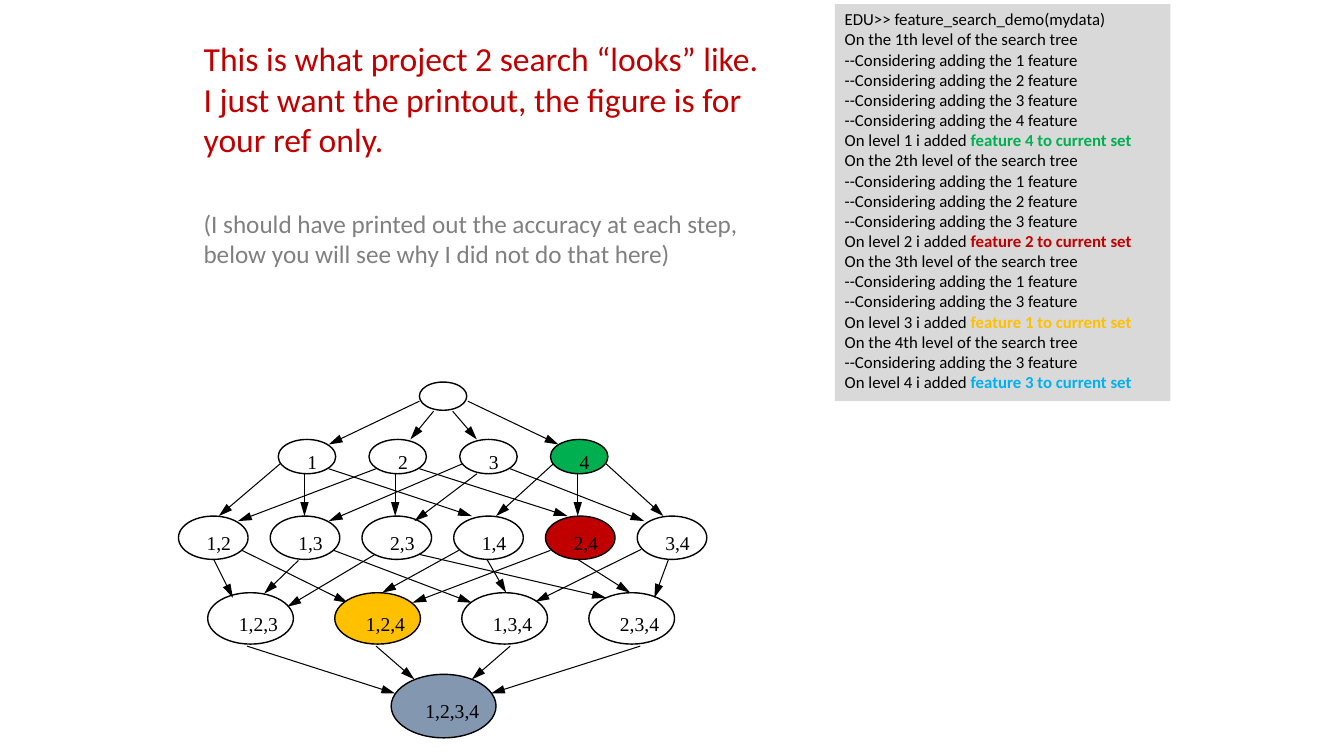
from dataclasses import dataclass

from lxml import etree
from pptx import Presentation
from pptx.dml.color import RGBColor
from pptx.enum.shapes import MSO_CONNECTOR, MSO_SHAPE
from pptx.enum.text import MSO_ANCHOR, MSO_AUTO_SIZE, PP_ALIGN
from pptx.oxml.ns import qn
from pptx.util import Inches, Pt

ELLIPSE, RECTANGLE = MSO_SHAPE.OVAL, MSO_SHAPE.RECTANGLE
STRAIGHT = MSO_CONNECTOR.STRAIGHT
TOP, LEFT = MSO_ANCHOR.TOP, PP_ALIGN.LEFT
GROW, FIXED = MSO_AUTO_SIZE.SHAPE_TO_FIT_TEXT, MSO_AUTO_SIZE.NONE

COLORS = {
    "black": "000000", "panel": "D9D9D9", "gray": "808080",
    "green": "00B050", "red": "C00000", "gold": "FFC000",
    "blue": "00B0F0", "slate": "8497B0",
}
BODY_FONT, TREE_FONT = "Calibri", "Times New Roman"
WRAPPED = {"word_wrap": True, "auto_size": FIXED, "vertical_anchor": TOP}
LABEL = {"word_wrap": False, "auto_size": GROW, "vertical_anchor": TOP}


@dataclass
class Run:
    text: str
    size: float
    color: str = "black"
    bold: bool = False
    font: str = BODY_FONT


@dataclass
class Level:
    """One row of equal ellipses, with the label offset inside each."""
    labels: tuple[str, ...]
    left: float
    top: float
    width: float
    height: float
    pitch: float = 0
    label_dx: float = 0
    label_dy: float = 0
    label_width: float = 0


@dataclass
class Arrow:
    x1: float
    y1: float
    x2: float
    y2: float


LEVELS = [
    Level(("",), 4.16, 3.79, 0.47, 0.28),
    Level(("1", "2", "3", "4"), 2.76, 4.36, 0.57, 0.34, 0.9, 0.19, 0.05, 0.3),
    Level(("1,2", "1,3", "2,3", "1,4", "2,4", "3,4"),
          1.77, 5.12, 0.69, 0.43, 0.91, 0.18, 0.1, 0.45),
    Level(("1,2,3", "1,2,4", "1,3,4", "2,3,4"),
          2.06, 5.88, 0.85, 0.51, 1.26, 0.21, 0.14, 0.59),
    Level(("1,2,3,4",), 3.88, 6.69, 1.04, 0.63, 0, 0.24, 0.19, 0.74),
]
CHOSEN = {"4": "green", "2,4": "red", "1,2,4": "gold", "1,2,3,4": "slate"}

ARROWS = [
    # Root to single features
    Arrow(4.16, 3.98, 3.26, 4.41), Arrow(4.3, 4.08, 4.07, 4.36),
    Arrow(4.49, 4.08, 4.73, 4.36), Arrow(4.64, 3.98, 5.54, 4.41),
    # Single features to pairs
    Arrow(2.78, 4.6, 2.17, 5.12), Arrow(3.02, 4.7, 3.02, 5.12),
    Arrow(3.26, 4.65, 4.68, 5.12), Arrow(3.73, 4.65, 2.36, 5.17),
    Arrow(3.92, 4.7, 3.92, 5.12), Arrow(4.16, 4.65, 5.63, 5.12),
    Arrow(4.59, 4.6, 3.26, 5.17), Arrow(4.73, 4.7, 4.11, 5.17),
    Arrow(5.06, 4.65, 6.39, 5.17), Arrow(5.49, 4.6, 4.92, 5.12),
    Arrow(5.73, 4.7, 5.73, 5.12), Arrow(6.01, 4.6, 6.58, 5.12),
    # Pairs to triples
    Arrow(2.12, 5.55, 2.31, 5.93), Arrow(2.4, 5.46, 3.45, 5.98),
    Arrow(2.96, 5.56, 2.62, 5.89), Arrow(3.31, 5.46, 4.68, 5.98),
    Arrow(3.72, 5.5, 2.85, 6.02), Arrow(4.16, 5.5, 6.01, 5.93),
    Arrow(4.55, 5.46, 3.79, 5.88), Arrow(4.83, 5.55, 5.02, 5.88),
    Arrow(5.46, 5.46, 4.09, 5.98), Arrow(5.73, 5.55, 6.25, 5.88),
    Arrow(6.36, 5.45, 5.31, 5.97), Arrow(6.63, 5.55, 6.49, 5.93),
    # Triples to the full set
    Arrow(2.45, 6.41, 3.92, 6.88), Arrow(3.73, 6.41, 4.11, 6.74),
    Arrow(5.06, 6.41, 4.68, 6.74), Arrow(6.35, 6.41, 4.87, 6.88),
]


def rgb(color: str) -> RGBColor:
    return RGBColor.from_string(COLORS[color])


def apply_format(target, values: dict) -> None:
    for name, value in values.items():
        setattr(target, name, value)


def place(shape, left: float, top: float, width: float, height: float) -> None:
    apply_format(shape, {"left": Inches(left), "top": Inches(top),
                         "width": Inches(width), "height": Inches(height)})


def write(shape, lines: list[list[Run]], frame_format: dict) -> None:
    frame = shape.text_frame
    apply_format(frame, frame_format)
    for index, line in enumerate(lines):
        paragraph = frame.add_paragraph() if index else frame.paragraphs[0]
        paragraph.alignment = LEFT
        for item in line:
            run = paragraph.add_run()
            run.text = item.text
            apply_format(run.font, {"size": Pt(item.size), "name": item.font,
                                    "bold": item.bold})
            run.font.color.rgb = rgb(item.color)


def add_text(slide, left: float, top: float, width: float, height: float,
             lines: list[list[Run]], frame_format: dict) -> None:
    box = slide.shapes.add_textbox(Inches(left), Inches(top),
                                   Inches(width), Inches(height))
    write(box, lines, frame_format)


def add_arrow(slide, arrow: Arrow) -> None:
    connector = slide.shapes.add_connector(
        STRAIGHT, Inches(arrow.x1), Inches(arrow.y1),
        Inches(arrow.x2), Inches(arrow.y2))
    connector.line.color.rgb = rgb("black")
    connector.line.width = Pt(0.75)
    etree.SubElement(connector.line._get_or_add_ln(), qn("a:tailEnd"),
                     type="triangle", w="med", len="lg")
    etree.SubElement(connector._element.spPr, qn("a:effectLst"))


def add_nodes(slide, level: Level) -> None:
    for index, label in enumerate(level.labels):
        left = level.left + index * level.pitch
        node = slide.shapes.add_shape(ELLIPSE, 0, 0, 0, 0)
        place(node, left, level.top, level.width, level.height)
        node.shadow.inherit = False
        node.line.color.rgb = rgb("black")
        node.line.width = Pt(1)
        if label in CHOSEN:
            node.fill.solid()
            node.fill.fore_color.rgb = rgb(CHOSEN[label])
        else:
            node.fill.background()
        if label:
            add_text(slide, left + level.label_dx, level.top + level.label_dy,
                     level.label_width, 0.34,
                     [[Run(label, 14, font=TREE_FONT)]], LABEL)


def printout_lines() -> list[list[Run]]:
    lines = [[Run("EDU>> feature_search_demo(mydata)", 12)]]
    remaining = [1, 2, 3, 4]
    added = [(4, "green"), (2, "red"), (1, "gold"), (3, "blue")]
    for level, (feature, color) in enumerate(added, 1):
        lines.append([Run(f"On the {level}th level of the search tree", 12)])
        lines += [[Run(f"--Considering adding the {candidate} feature", 12)]
                  for candidate in remaining]
        lines.append([Run(f"On level {level} i added ", 12),
                      Run(f"feature {feature} to current set", 12, color, True)])
        remaining.remove(feature)
    return lines


def main() -> None:
    presentation = Presentation()
    presentation.slide_width = Inches(13.33)
    presentation.slide_height = Inches(7.5)
    slide = presentation.slides.add_slide(presentation.slide_layouts[5])

    # Headline and note
    title = slide.shapes.title
    place(title, 1.92, 0.33, 6.08, 1.32)
    write(title, [
        [Run("This is what project 2 search “looks” like.", 24, "red")],
        [Run("I just want the printout, the figure is for your ref only.", 24, "red")],
    ], WRAPPED)
    add_text(slide, 1.92, 2.02, 6.08, 0.7, [[Run(
        "(I should have printed out the accuracy at each step, "
        "below you will see why I did not do that here)", 18, "gray")]], WRAPPED)

    # Search printout
    panel = slide.shapes.add_shape(RECTANGLE, 0, 0, 0, 0)
    place(panel, 8.28, 0.04, 3.33, 3.94)
    panel.shadow.inherit = False
    panel.fill.solid()
    panel.fill.fore_color.rgb = rgb("panel")
    panel.line.fill.background()
    write(panel, printout_lines(), WRAPPED)

    # Search tree
    for arrow in ARROWS:
        add_arrow(slide, arrow)
    for level in LEVELS:
        add_nodes(slide, level)

    presentation.save("out.pptx")


if __name__ == "__main__":
    main()
